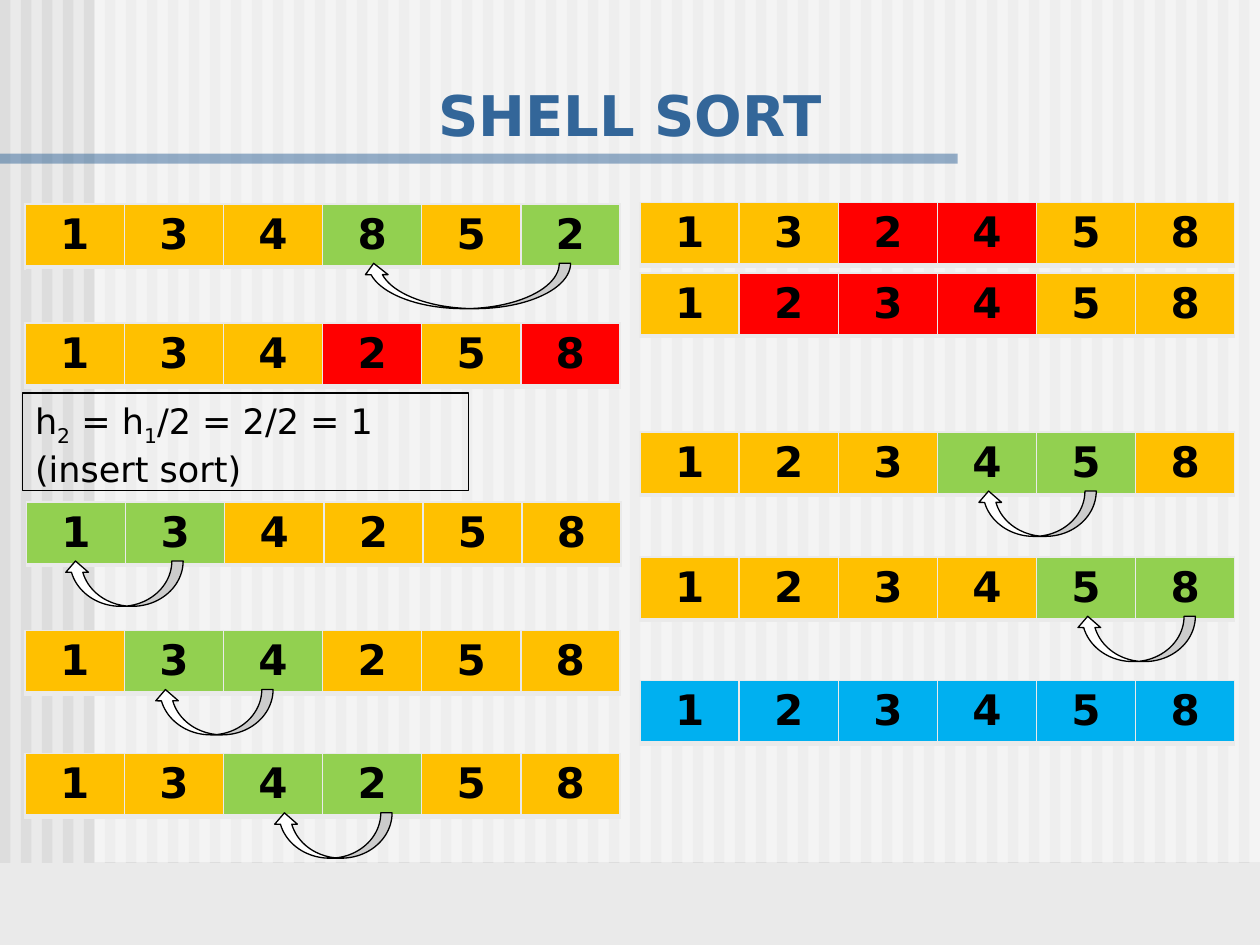
from dataclasses import dataclass
from typing import Optional

from lxml.etree import SubElement
from pptx import Presentation
from pptx.dml.color import RGBColor
from pptx.enum.shapes import MSO_SHAPE as Shape
from pptx.enum.text import MSO_ANCHOR as Anchor, MSO_AUTO_SIZE as AutoSize, PP_ALIGN as Align
from pptx.oxml.ns import qn
from pptx.util import Inches, Pt

SLIDE_WIDTH, SLIDE_HEIGHT = Inches(10), Inches(7.5)
FONT = "DejaVu Sans"
BACKGROUND, STRIPE, WHITE, BLACK, BLUE = "EAEAEA", "DDDDDD", "FFFFFF", "000000", "336699"
CELL_COLOURS = {"y": "FFC000", "g": "92D050", "r": "FF0000", "b": "00B0F0"}
BORDERS = {"a:lnL": 1, "a:lnR": 1, "a:lnT": 1, "a:lnB": 3}
LEFT_COLUMN, RIGHT_COLUMN = 2.0, 50.8
CELL_WIDTH, CELL_HEIGHT = 7.87, 5.2
ARROW_DROP, ARROW_DEPTH = 6.27, 4.8
STRIPE_COUNT = 60


@dataclass(frozen=True)
class Arrow:
    centre: float
    span: float = 1.2


@dataclass(frozen=True)
class Step:
    left: float
    top: float
    values: str
    colours: str
    arrow: Optional[Arrow] = None


STEPS = [
    Step(LEFT_COLUMN, 21.6, "134852", "yyygyg", Arrow(4.45, 2.1)),
    Step(LEFT_COLUMN, 34.2, "134258", "yyyryr"),
    Step(LEFT_COLUMN + 0.1, 53.1, "134258", "ggyyyy", Arrow(0.98)),
    Step(LEFT_COLUMN, 66.7, "134258", "yggyyy", Arrow(1.9)),
    Step(LEFT_COLUMN, 79.75, "134258", "yyggyy", Arrow(3.1)),
    Step(RIGHT_COLUMN, 21.4, "132458", "yyrryy"),
    Step(RIGHT_COLUMN, 28.9, "123458", "yrrryy"),
    Step(RIGHT_COLUMN, 45.7, "123458", "yyyggy", Arrow(4)),
    Step(RIGHT_COLUMN, 58.95, "123458", "yyyygg", Arrow(5)),
    Step(RIGHT_COLUMN, 72, "123458", "bbbbbb"),
]


def across(percent: float) -> int:
    return round(SLIDE_WIDTH * percent / 100)


def down(percent: float) -> int:
    return round(SLIDE_HEIGHT * percent / 100)


def area(left: float, top: float, width: float, height: float) -> tuple:
    return across(left), down(top), across(width), down(height)


def paint(fill, colour: str, alpha: int = 100) -> None:
    fill.solid()
    fill.fore_color.rgb = RGBColor.from_string(colour)
    if alpha < 100:
        element = fill._xPr.find(qn("a:solidFill"))[0]
        SubElement(element, qn("a:alpha"), val=str(alpha * 1000))


def style_run(run, size: float, colour: str, bold: bool = False) -> None:
    run.font.name = FONT
    run.font.size = Pt(size)
    run.font.bold = bold
    run.font.color.rgb = RGBColor.from_string(colour)


def outline(shape) -> None:
    paint(shape.line.fill, BLACK)
    shape.line.width = Pt(0.75)


def add_band(shapes, box: tuple, colour: str, alpha: int = 100) -> None:
    band = shapes.add_shape(Shape.RECTANGLE, *box)
    band.shadow.inherit = False
    paint(band.fill, colour, alpha)
    band.line.fill.background()


def add_backdrop(slide) -> None:
    paint(slide.background.fill, BACKGROUND)
    backdrop = slide.shapes.add_group_shape().shapes
    pitch = 100 / STRIPE_COUNT
    for index in range(STRIPE_COUNT):
        add_band(backdrop, area(index * pitch, 0, pitch / 2, 91.3), STRIPE)
    add_band(backdrop, area(7.5, 0, 92.5, 91.2), WHITE, 50)
    add_band(backdrop, area(0, 16.25, 76, 1.07), BLUE, 50)


def add_title(slide, text: str) -> None:
    title = slide.shapes.title
    slide.shapes._spTree.append(title._element)
    title.left, title.top, title.width, title.height = area(3.3, 7.85, 93.4, 8.5)
    frame = title.text_frame
    frame.text = text
    frame.vertical_anchor = Anchor.BOTTOM
    frame.auto_size = AutoSize.SHAPE_TO_FIT_TEXT
    paragraph = frame.paragraphs[0]
    paragraph.alignment = Align.CENTER
    style_run(paragraph.runs[0], 32, BLUE, bold=True)


def add_borders(cell) -> None:
    properties = cell._tc.get_or_add_tcPr()
    for tag, width in BORDERS.items():
        border = SubElement(properties, qn(tag), w=str(Pt(width)))
        SubElement(SubElement(border, qn("a:solidFill")), qn("a:srgbClr"), val=BACKGROUND)


def add_array(slide, step: Step) -> None:
    count = len(step.values)
    box = area(step.left, step.top, CELL_WIDTH * count, CELL_HEIGHT)
    table = slide.shapes.add_table(1, count, *box).table
    table.first_row = table.horz_banding = False
    for cell, value, colour in zip(table.rows[0].cells, step.values, step.colours):
        add_borders(cell)
        paint(cell.fill, CELL_COLOURS[colour])
        cell.text_frame.text = value
        paragraph = cell.text_frame.paragraphs[0]
        paragraph.alignment = Align.CENTER
        style_run(paragraph.runs[0], 24, BLACK, bold=True)


def add_swap_arrow(slide, step: Step) -> None:
    width, height = down(ARROW_DEPTH), across(step.arrow.span * CELL_WIDTH)
    centre_x = across(step.left + step.arrow.centre * CELL_WIDTH)
    centre_y = down(step.top + ARROW_DROP + ARROW_DEPTH / 2)
    arrow = slide.shapes.add_shape(
        Shape.CURVED_LEFT_ARROW, centre_x - width // 2, centre_y - height // 2, width, height)
    arrow.rotation = 90
    arrow.shadow.inherit = False
    paint(arrow.fill, WHITE)
    outline(arrow)


def add_gap_note(slide) -> None:
    note = slide.shapes.add_textbox(*area(1.8, 41.6, 35.4, 10.3))
    outline(note)
    frame = note.text_frame
    frame.word_wrap = True
    frame.auto_size = AutoSize.SHAPE_TO_FIT_TEXT
    parts = [("h", 0), ("2", -25), (" = h", 0), ("1", -25), ("/2 = 2/2 = 1 (insert sort)", 0)]
    for text, baseline in parts:
        run = frame.paragraphs[0].add_run()
        run.text = text
        style_run(run, 20, BLACK)
        if baseline:
            run.font._element.set("baseline", str(baseline * 1000))


def main() -> None:
    presentation = Presentation()
    presentation.slide_width, presentation.slide_height = SLIDE_WIDTH, SLIDE_HEIGHT
    slide = presentation.slides.add_slide(presentation.slide_layouts[5])
    add_backdrop(slide)
    add_title(slide, "SHELL SORT")
    add_gap_note(slide)
    for step in STEPS:
        add_array(slide, step)
        if step.arrow:
            add_swap_arrow(slide, step)
    presentation.save("out.pptx")


if __name__ == "__main__":
    main()
